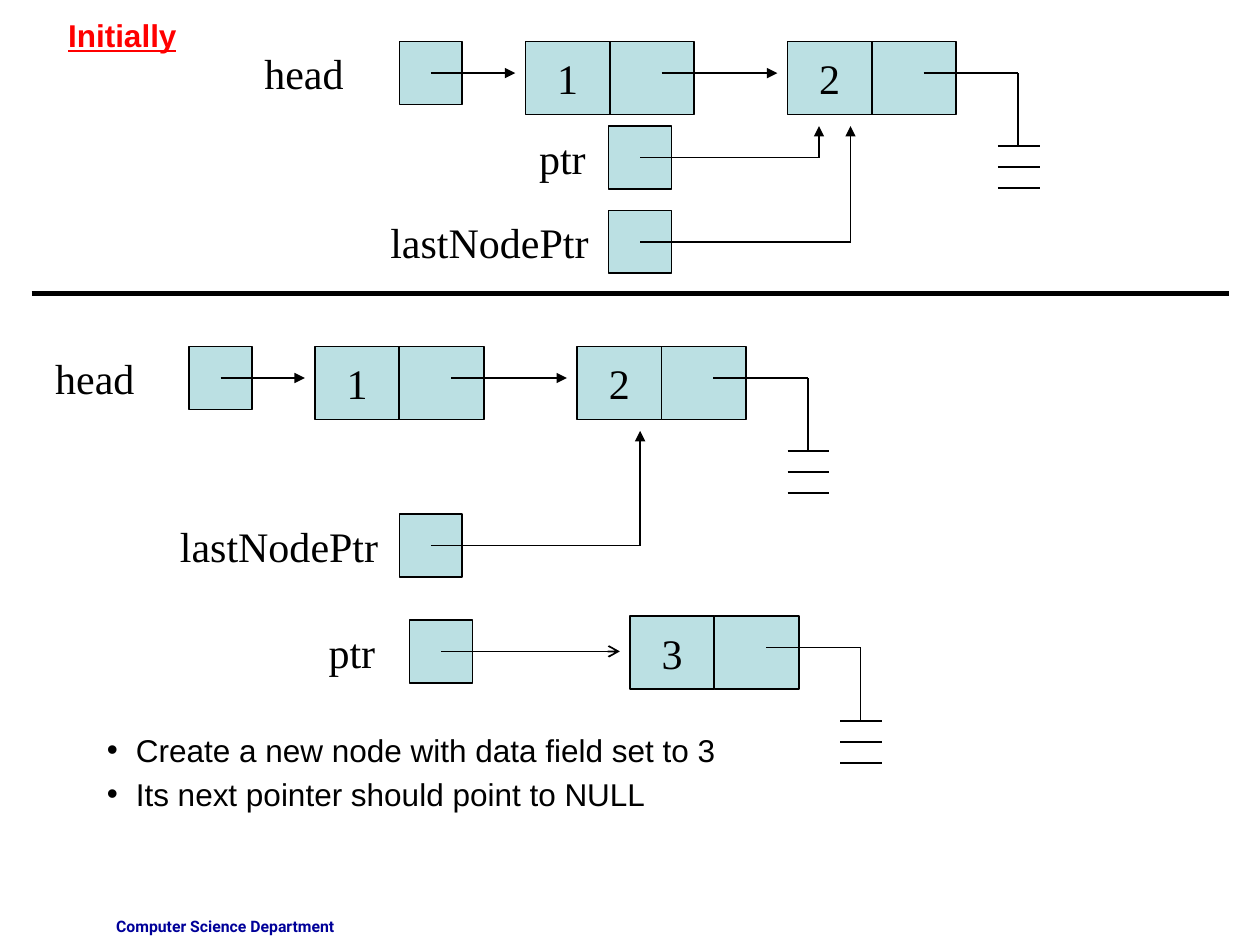
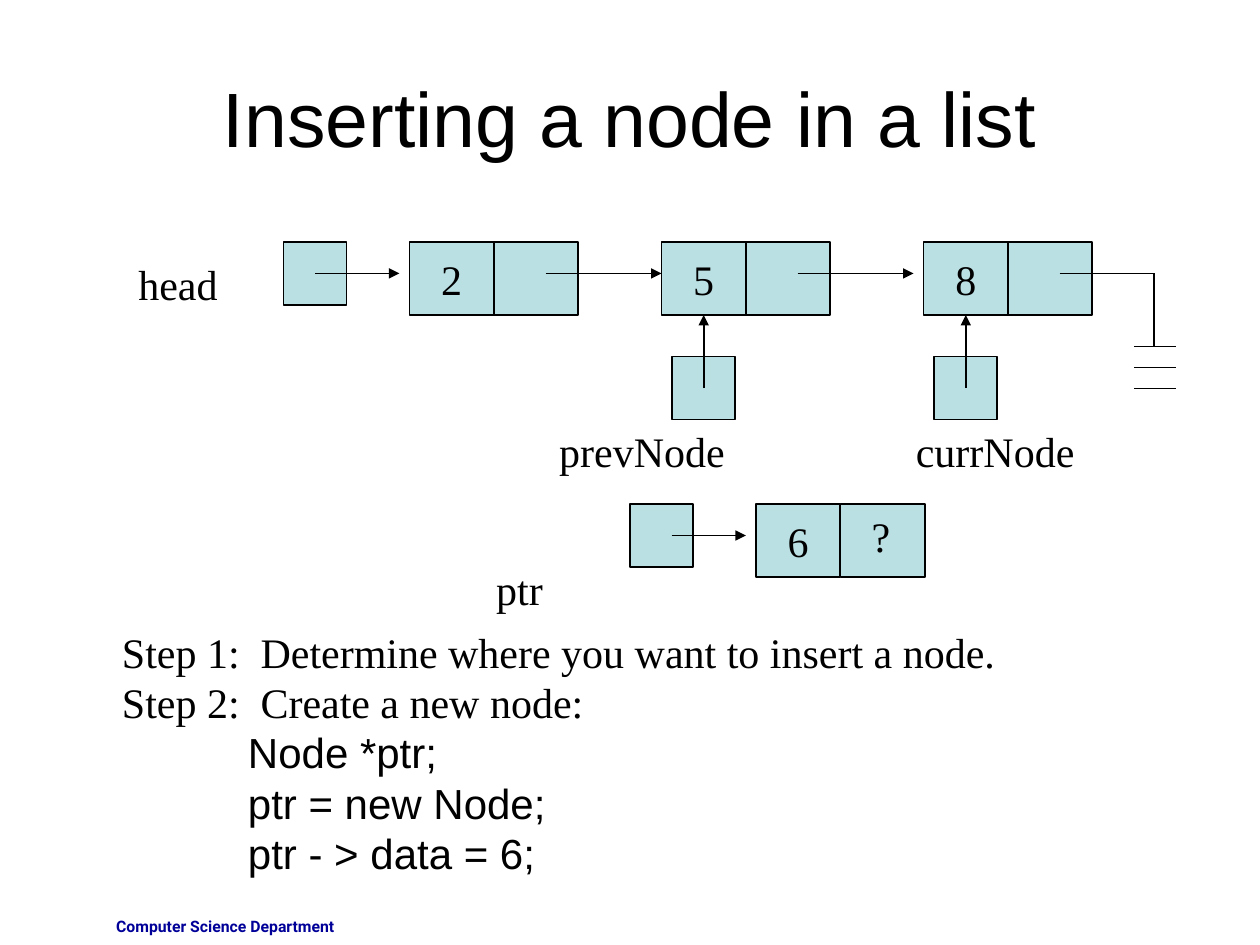
from itertools import pairwise

from lxml.etree import SubElement
from pptx import Presentation
from pptx.dml.color import RGBColor
from pptx.enum.shapes import MSO_CONNECTOR, MSO_SHAPE
from pptx.enum.text import MSO_ANCHOR, MSO_AUTO_SIZE, PP_ALIGN
from pptx.oxml.ns import qn
from pptx.util import Inches, Pt

HUES = {"ink": "000000", "cell": "BBE0E3", "foot": "000099", "alert": "FF0000"}
SERIF, SANS, BRAND = "Times New Roman", "Arial", "Roboto"
WIDE, HIGH = 0.67, 0.58  # one cell of a node
SIDE, MID = 0.5, 0.25  # a pointer box and its centre


def style(para, size, face, hue="ink", bold=None):
    font = para.font
    font.size, font.name, font.bold = Pt(size), face, bold
    font.color.rgb = RGBColor.from_string(HUES[hue])


def text(slide, box, words, size=24, face=SERIF, hue="ink", bold=None,
         align=PP_ALIGN.LEFT):
    """Add a text box of one paragraph and return its frame."""
    frame = slide.shapes.add_textbox(*map(Inches, box)).text_frame
    frame.word_wrap = True
    para = frame.paragraphs[0]
    para.text, para.alignment = words, align
    style(para, size, face, hue, bold)
    return frame


def label(slide, x, y, wide, words):
    frame = text(slide, (x, y, wide, 0.5), words)
    frame.word_wrap = False
    frame.auto_size = MSO_AUTO_SIZE.SHAPE_TO_FIT_TEXT


def rect(slide, x, y, wide, high, words=""):
    shape = slide.shapes.add_shape(
        MSO_SHAPE.RECTANGLE, *map(Inches, (x, y, wide, high)))
    shape.shadow.inherit = False
    shape.fill.solid()
    shape.fill.fore_color.rgb = RGBColor.from_string(HUES["cell"])
    shape.line.color.rgb = RGBColor.from_string(HUES["ink"])
    shape.line.width = Pt(1)
    if words:
        frame = shape.text_frame
        frame.word_wrap = False
        frame.vertical_anchor = MSO_ANCHOR.MIDDLE
        para = frame.paragraphs[0]
        para.text, para.alignment = words, PP_ALIGN.CENTER
        style(para, 24, SERIF)
    return shape


def line(slide, start, end, tip=None, width=1):
    link = slide.shapes.add_connector(
        MSO_CONNECTOR.STRAIGHT, *map(Inches, (*start, *end)))
    link.line.color.rgb = RGBColor.from_string(HUES["ink"])
    link.line.width = Pt(width)
    if tip:
        SubElement(link.line._get_or_add_ln(), qn("a:tailEnd"), type=tip)
    SubElement(link._element.spPr, qn("a:effectLst"))
    return link


def route(slide, *spots, tip="triangle"):
    """Join the spots by straight lines, with a tip on the last one."""
    legs = list(pairwise(spots))
    for start, end in legs[:-1]:
        line(slide, start, end)
    return line(slide, *legs[-1], tip)


def node(slide, x, y, value):
    data = rect(slide, x, y, WIDE, HIGH, value)
    rect(slide, x + WIDE, y, WIDE, HIGH)
    return data


def ground(slide, x, y):
    """Draw the null sign of the node at x, y."""
    stem, top = x + 1.83, y + 0.83
    route(slide, (x + 1.08, y + MID), (stem, y + MID), (stem, top), tip=None)
    for row in range(3):
        bar = top + row / 6
        line(slide, (stem - 0.16, bar), (stem + 0.17, bar))


def pointer(slide, x, y, *turns, start=MID, tip="triangle"):
    """Draw a pointer box whose arrow leaves it through the turns."""
    rect(slide, x, y, SIDE, SIDE)
    return route(slide, (x + start, y + MID), *turns, tip=tip)


def chain(slide, x, y, items):
    """Draw a list from its head box; items are (offset, value, arrow end)."""
    pointer(slide, x, y, (x + 0.92, y + MID))
    cells = []
    for step, value, end in items:
        cells.append(node(slide, x + step, y, value))
        if end:
            route(slide, (x + step + 1.08, y + MID), (x + end, y + MID))
        else:
            ground(slide, x + step, y)
    return cells


def footer(slide):
    text(slide, (0.42, 7.23, 2.33, 0.27), "Computer Science Department",
         9, BRAND, "foot", True, PP_ALIGN.RIGHT)


def bullet(slide, x, y, wide, words):
    para = text(slide, (x, y, wide, 0.4), words, 18, SANS).paragraphs[0]
    props = para._p.get_or_add_pPr()
    props.set("marL", str(Inches(0.23)))
    props.set("indent", str(Inches(-0.23)))
    face = props.makeelement(qn("a:buFont"), {"typeface": SANS})
    mark = props.makeelement(qn("a:buChar"), {"char": "•"})
    props.insert(0, face)
    props.insert(1, mark)


def before(slide, x, y):
    """Draw the list as it starts, with both pointers on its last node."""
    chain(slide, x, y, [(1, "1", 3), (3.08, "2", None)])
    label(slide, x - 1.17, y, 0.83, "head")
    low = y + 0.67
    names = [("ptr", 0.65, 0.57, 3.33), ("lastNodePtr", 1.83, 1.8, 3.58)]
    for row, (name, back, wide, reach) in enumerate(names):
        top = low + row * 0.67
        pointer(slide, x + 1.66, top, (x + reach, top + MID), (x + reach, low))
        label(slide, x + 1.66 - back, top, wide, name)


def after(slide, x, y):
    """Draw the list with a new node waiting below it."""
    chain(slide, x, y, [(1, "1", 3), (3.08, "2", None)])
    label(slide, x - 1.16, y, 0.83, "head")
    last, new = y + 1.33, y + 2.17
    pointer(slide, x + 1.67, last,
            (x + 3.58, last + MID), (x + 3.58, y + 0.67))
    label(slide, x - 0.17, last, 1.8, "lastNodePtr")
    pointer(slide, x + 1.75, new, (x + 3.42, new + MID), tip="arrow")
    label(slide, x + 1.01, new, 0.57, "ptr")
    node(slide, x + 3.5, new - 0.03, "3")
    ground(slide, x + 3.5, new - 0.03)


def insert(slide, x, y):
    """Draw a list with a pointer below each of its last two nodes."""
    cells = chain(slide, x, y, [(1, "2", 3), (3, "5", 5), (5.08, "8", None)])
    label(slide, x - 1.25, y + 0.08, 0.83, "head")
    names = [("prevNode", 2.09, 1.54, 3), ("currNode", 4.92, 1.48, 5.08)]
    for cell, (name, left, wide, step) in zip(cells[1:], names):
        centre = x + step + WIDE / 2
        link = pointer(slide, centre - MID, y + 0.91, (centre, y + HIGH))
        link.end_connect(cell, 2)
        label(slide, x + left, y + 1.41, wide, name)


def fresh(slide, x, y):
    """Draw the new node whose next field is unknown."""
    pointer(slide, x, y, (x + 0.92, y + MID), start=0.33)
    node(slide, x + 1, y, "6")
    label(slide, x + 1.82, y, 0.35, "?")
    label(slide, x - 1.16, y + 0.42, 0.57, "ptr")


def steps(slide, box, heads, code):
    frame = text(slide, box, "")
    for row, words in enumerate([*heads, *code]):
        para = frame.add_paragraph() if row else frame.paragraphs[0]
        para.text = words
        props = para._p.get_or_add_pPr()
        if words in heads:
            for old in props.findall(qn("a:defRPr")):
                props.remove(old)
            tabs = SubElement(props, qn("a:tabLst"))
            SubElement(tabs, qn("a:tab"), pos=str(Inches(1.1)), algn="l")
        else:
            props.set("marL", str(Inches(1)))
            props.set("indent", "0")
        style(para, 24, SERIF if words in heads else SANS)


def append(slide):
    footer(slide)
    title = text(slide, (0.08, 0.08, 1.42, 0.4), "Initially", 18, SANS,
                 "alert", True, PP_ALIGN.RIGHT)
    title.paragraphs[0].font.underline = True
    before(slide, 3.17, 0.33)
    line(slide, (0.25, 2.33), (9.75, 2.33), width=3)
    after(slide, 1.5, 2.75)
    bullet(slide, 0.75, 5.75, 5.42, "Create a new node with data field set to 3")
    bullet(slide, 0.75, 6.1, 4.5, "Its next pointer should point to NULL")


def middle(slide):
    footer(slide)
    title = text(slide, (0.5, 0.3, 9, 1.25), "Inserting a node in a list",
                 44, SANS, align=PP_ALIGN.CENTER)
    title.vertical_anchor = MSO_ANCHOR.MIDDLE
    insert(slide, 2.25, 1.92)
    fresh(slide, 5, 4)
    steps(slide, (0.87, 4.92, 7.2, 2.1),
          ["Step 1:\tDetermine where you want to insert a node.",
           "Step 2:\tCreate a new node:"],
          ["Node *ptr;", "ptr = new Node;", "ptr - > data = 6;"])


def main():
    deck = Presentation()
    deck.slide_width, deck.slide_height = Inches(10), Inches(7.5)
    for build in (append, middle):
        build(deck.slides.add_slide(deck.slide_layouts[6]))
    deck.save("out.pptx")


if __name__ == "__main__":
    main()
